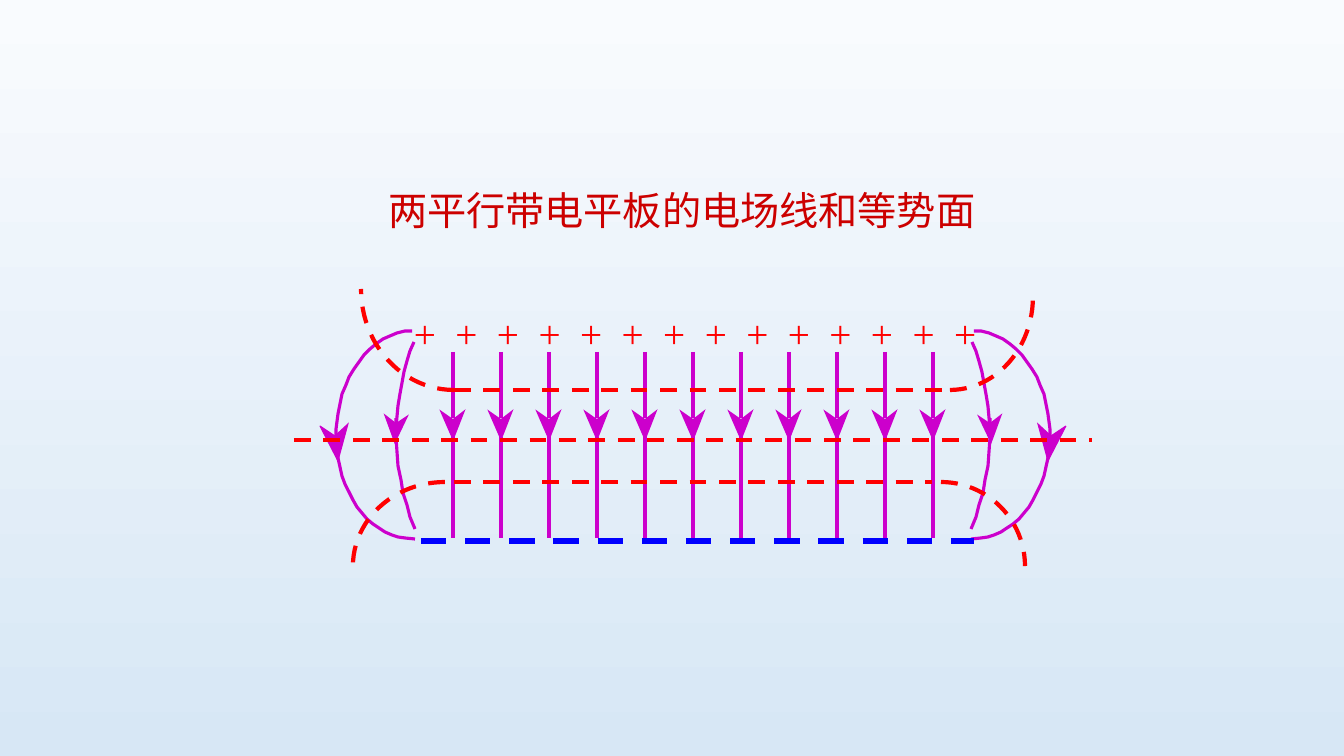
"""Build a slide showing field lines and equipotentials between two charged plates."""
import math

from lxml import etree
from pptx import Presentation
from pptx import util as u
from pptx.dml.color import RGBColor
from pptx.enum import dml, shapes, text
from pptx.oxml.ns import qn

PURPLE = RGBColor(0xCC, 0x00, 0xCC)
RED = RGBColor(0xFF, 0x00, 0x00)
BLUE = RGBColor(0x00, 0x00, 0xFF)
TITLE_RED = RGBColor(0xCC, 0x00, 0x00)
SKY = [RGBColor(0xF9, 0xFB, 0xFE), RGBColor(0xD7, 0xE7, 0xF5)]
FONT = "Times New Roman"
PX = 914400 / 100.8

TITLE = "两平行带电平板的电场线和等势面"
CHARGES = " ".join("+" * 14)
TITLE_BOX = (378, 181, 714, 57)
CHARGES_BOX = (404, 304, 589, 57)

FIELD_X, FIELD_STEP, FIELD_COUNT = 453, 48, 11
FIELD_SPANS = [(352, 418), (437, 538)]
FIELD_HEAD = [(-10, 414), (0, 437), (9, 414), (0, 421)]

MIRROR_SUM = 1386
EDGE_CURVES = [
    [(990, 418), (990, 437), (989, 452), (988, 466), (985, 480),
     (983, 493), (979, 505), (976, 517), (971, 529)],
    [(972, 342), (976, 351), (979, 361), (982, 372), (984, 383),
     (986, 394), (988, 406), (989, 417), (990, 429)],
    [(1049, 448), (1048, 458), (1046, 467), (1044, 476), (1041, 484),
     (1037, 492), (1033, 500), (1029, 507), (1024, 513), (1019, 519),
     (1013, 524), (1007, 528), (1001, 532), (994, 535), (988, 537),
     (981, 538), (971, 539)],
    [(974, 331), (981, 331), (989, 333), (996, 336), (1003, 339),
     (1010, 344), (1016, 349), (1022, 355), (1027, 362), (1032, 369),
     (1037, 377), (1040, 385), (1044, 394), (1046, 404), (1048, 414),
     (1050, 429), (1050, 436)],
]
EDGE_HEADS = [
    ([(981, 419), (991, 440), (999, 418), (990, 425)], 2.25),
    ([(1038, 424), (1048, 461), (1066, 426), (1051, 436)], 0.75),
]

PLATE = (421, 974, 541)
EQUIPOTENTIALS = [(294, 1092, 440), (454, 932, 482), (454, 950, 390)]
EQUIPOTENTIAL_ENDS = [
    ((941, 482), (1025, 566)),
    ((445, 482), (353, 566)),
    ((950, 390), (1033, 297)),
    ((454, 390), (361, 289)),
]
ARC_STEPS = 24


def emu(px):
    return u.Emu(round(px * PX))


def style_line(line, color, width, dashed=False):
    line.color.rgb = color
    line.width = u.Pt(width)
    if dashed:
        line.dash_style = dml.MSO_LINE.DASH


def add_line(slide, start, end, color, width, dashed=False):
    sp = slide.shapes.add_connector(
        shapes.MSO_CONNECTOR.STRAIGHT, *map(emu, start + end))
    style_line(sp.line, color, width, dashed)
    etree.SubElement(sp._element.spPr, qn("a:effectLst"))


def add_path(slide, points, color, width, dashed=False, closed=False):
    (x, y), *rest = [(emu(x), emu(y)) for x, y in points]
    builder = slide.shapes.build_freeform(x, y)
    builder.add_line_segments(rest, close=closed)
    sp = builder.convert_to_shape()
    sp.shadow.inherit = False
    style_line(sp.line, color, width, dashed)
    if closed:
        sp.fill.solid()
        sp.fill.fore_color.rgb = color
        ln = sp._element.spPr.find(qn("a:ln"))
        etree.SubElement(ln, qn("a:miter"), lim="800000")
    else:
        sp.fill.background()


def write(sp, box, content, color):
    sp.left, sp.top, sp.width, sp.height = map(emu, box)
    tf = sp.text_frame
    tf.text = content
    tf.word_wrap = True
    tf.auto_size = text.MSO_AUTO_SIZE.NONE
    tf.vertical_anchor = text.MSO_ANCHOR.TOP
    tf.margin_right = 0
    p = tf.paragraphs[0]
    p.alignment = text.PP_ALIGN.LEFT
    r = p.runs[0]
    r.font.name = FONT
    r.font.size = u.Pt(28)
    r.font.color.rgb = color
    return r


def mirrored(points):
    return [(MIRROR_SUM - x, y) for x, y in points]


def quarter_arc(start, end):
    (x0, y0), (x1, y1) = start, end
    angles = [math.pi / 2 * i / ARC_STEPS for i in range(ARC_STEPS + 1)]
    return [(x0 + (x1 - x0) * math.sin(a), y0 + (y1 - y0) * (1 - math.cos(a)))
            for a in angles]


def main():
    prs = Presentation()
    prs.slide_width, prs.slide_height = emu(1344), emu(756)
    slide = prs.slides.add_slide(prs.slide_layouts[5])

    fill = slide.background.fill
    fill.gradient()
    fill.gradient_angle = 270
    for stop, color in zip(fill.gradient_stops, SKY):
        stop.color.rgb = color

    write(slide.shapes.title, TITLE_BOX, TITLE, TITLE_RED)

    for i in range(FIELD_COUNT):
        x = FIELD_X + i * FIELD_STEP
        for top, bottom in FIELD_SPANS:
            add_line(slide, (x, top), (x, bottom), PURPLE, 2.25)
        head = [(x + dx, y) for dx, y in FIELD_HEAD]
        add_path(slide, head, PURPLE, 2.25, closed=True)

    for side in (list, mirrored):
        for curve in EDGE_CURVES:
            add_path(slide, side(curve), PURPLE, 2.25)
        for head, width in EDGE_HEADS:
            add_path(slide, side(head), PURPLE, width, closed=True)

    left, right, y = PLATE
    add_line(slide, (left, y), (right, y), BLUE, 4.5, dashed=True)
    box = slide.shapes.add_textbox(*map(emu, CHARGES_BOX))
    r = write(box, CHARGES_BOX, CHARGES, RED)
    r.font._element.set("spc", "350")

    for left, right, y in EQUIPOTENTIALS:
        add_line(slide, (left, y), (right, y), RED, 3, dashed=True)
    for start, end in EQUIPOTENTIAL_ENDS:
        add_path(slide, quarter_arc(start, end), RED, 3, dashed=True)

    prs.save("out.pptx")


if __name__ == "__main__":
    main()
